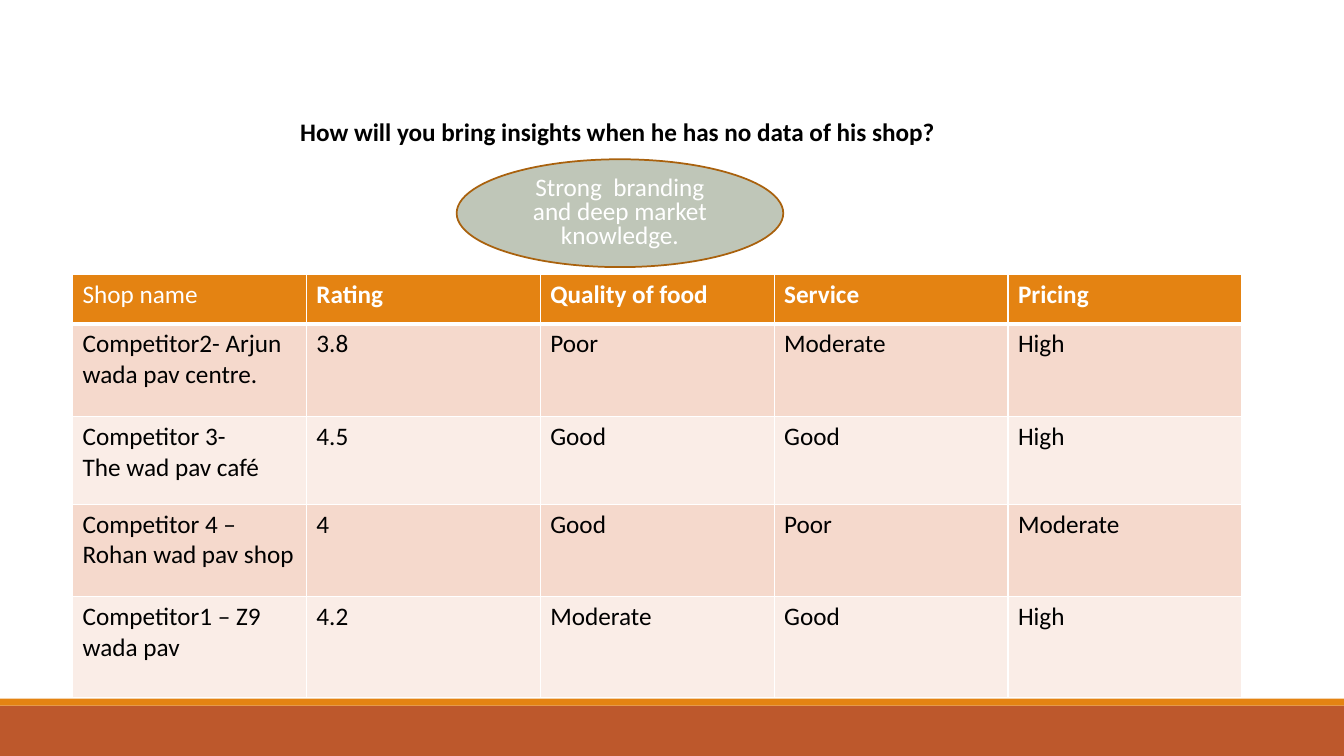
import dataclasses
import typing

import lxml.etree
import pptx
import pptx.dml.color
import pptx.enum.shapes
import pptx.enum.text
import pptx.oxml.ns
import pptx.util

WIDE, HIGH = 13.33, 7.5
WHITE, BLACK, AMBER, RUST = "FFFFFF", "000000", "E48312", "BD582C"
BANDS = ("F5D9CC", "FAEDE7")
FONT = {"name": "Calibri", "size": pptx.util.Pt(18)}
ALIGN = pptx.enum.text.PP_ALIGN
MIDDLE = pptx.enum.text.MSO_ANCHOR.MIDDLE
SNUG = {"margin_top": 0, "margin_bottom": 0, "vertical_anchor": MIDDLE}
KIND = pptx.enum.shapes.MSO_SHAPE


@dataclasses.dataclass(frozen=True)
class Area:
    """A frame in percent of the slide's width and height."""
    left: float
    top: float
    width: float
    height: float

    def frame(self) -> tuple:
        return across(self.left), down(self.top), across(self.width), down(self.height)


@dataclasses.dataclass(frozen=True)
class Figure:
    kind: typing.Any
    area: Area
    fill: str
    edge: str = ""
    text: str = ""


FIGURES = (
    Figure(KIND.RECTANGLE, Area(0, 93.33, 100, 6.67), RUST),
    Figure(KIND.RECTANGLE, Area(0, 92.4, 100, 0.93), AMBER),
    Figure(KIND.OVAL, Area(33.98, 21.07, 24.3, 14.27), "BFC6B8", "A9610D",
           "Strong  branding and deep market knowledge."),
)
TITLE = "How will you bring insights when he has no data of his shop?"
HEADING = Area(5.18, 14.7, 81.55, 5.33)
GRID = Area(5.4, 36.3, 87, 56)
ROWS = (6.53, 12.27, 11.6, 12.27, 13.33)
CELLS = (
    ("Shop name", "Rating", "Quality of food", "Service", "Pricing"),
    ("Competitor2- Arjun wada pav centre.", "3.8", "Poor", "Moderate", "High"),
    ("Competitor 3-\nThe wad pav café", "4.5", "Good", "Good", "High"),
    ("Competitor 4 –\nRohan wad pav shop", "4", "Good", "Poor", "Moderate"),
    ("Competitor1 – Z9 wada pav", "4.2", "Moderate", "Good", "High"),
)


def across(share: float) -> int:
    return pptx.util.Inches(WIDE * share / 100)


def down(share: float) -> int:
    return pptx.util.Inches(HIGH * share / 100)


def color(code: str) -> pptx.dml.color.RGBColor:
    return pptx.dml.color.RGBColor.from_string(code)


def paint(item: typing.Any, code: str) -> None:
    item.fill.solid()
    item.fill.fore_color.rgb = color(code)


def adjust(item: typing.Any, values: dict[str, typing.Any]) -> None:
    for key, value in values.items():
        setattr(item, key, value)


def write(frame: typing.Any, text: str, code: str, bold: bool = False,
          **layout: typing.Any) -> None:
    """Set styled text; layout holds paragraph settings."""
    frame.text = text
    frame.word_wrap = True
    for para in frame.paragraphs:
        adjust(para, layout)
        for run in para.runs:
            adjust(run.font, {**FONT, "bold": bold})
            run.font.color.rgb = color(code)


def draw(slide: typing.Any, figure: Figure) -> None:
    shape = slide.shapes.add_shape(figure.kind, *figure.area.frame())
    shape.shadow.inherit = False
    paint(shape, figure.fill)
    if figure.edge:
        shape.line.color.rgb = color(figure.edge)
        shape.line.width = pptx.util.Pt(1.25)
    else:
        shape.line.fill.background()
    if figure.text:
        write(shape.text_frame, figure.text, WHITE,
              alignment=ALIGN.CENTER, line_spacing=0.8)
        adjust(shape.text_frame, SNUG)


def border(cell: typing.Any, sides: dict[str, float]) -> None:
    """Draw white cell edges; call before the cell is filled."""
    name = pptx.oxml.ns.qn
    props = cell._tc.get_or_add_tcPr()
    for side, width in sides.items():
        line = lxml.etree.SubElement(props, name(f"a:ln{side}"), w=str(pptx.util.Pt(width)))
        solid = lxml.etree.SubElement(line, name("a:solidFill"))
        lxml.etree.SubElement(solid, name("a:srgbClr"), val=WHITE)


def compare(slide: typing.Any) -> None:
    """Add the table of rival shops."""
    count = len(CELLS[0])
    table = slide.shapes.add_table(len(CELLS), count, *GRID.frame()).table
    for column in table.columns:
        column.width = across(GRID.width / count)
    for row, (height, texts) in enumerate(zip(ROWS, CELLS)):
        table.rows[row].height = down(height)
        head = row == 0
        sides = {"L": 1, "R": 1, "T": 3 if row == 1 else 1, "B": 3 if head else 1}
        for col, text in enumerate(texts):
            cell = table.cell(row, col)
            border(cell, sides)
            paint(cell, AMBER if head else BANDS[(row - 1) % 2])
            write(cell.text_frame, text, WHITE if head else BLACK, head and col > 0)


def main() -> None:
    deck = pptx.Presentation()
    deck.slide_width, deck.slide_height = across(100), down(100)
    slide = deck.slides.add_slide(deck.slide_layouts[6])
    for figure in FIGURES:
        draw(slide, figure)
    title = slide.shapes.add_textbox(*HEADING.frame()).text_frame
    write(title, TITLE, BLACK, True, alignment=ALIGN.CENTER)
    adjust(title, SNUG)
    compare(slide)
    deck.save("out.pptx")


if __name__ == "__main__":
    main()
